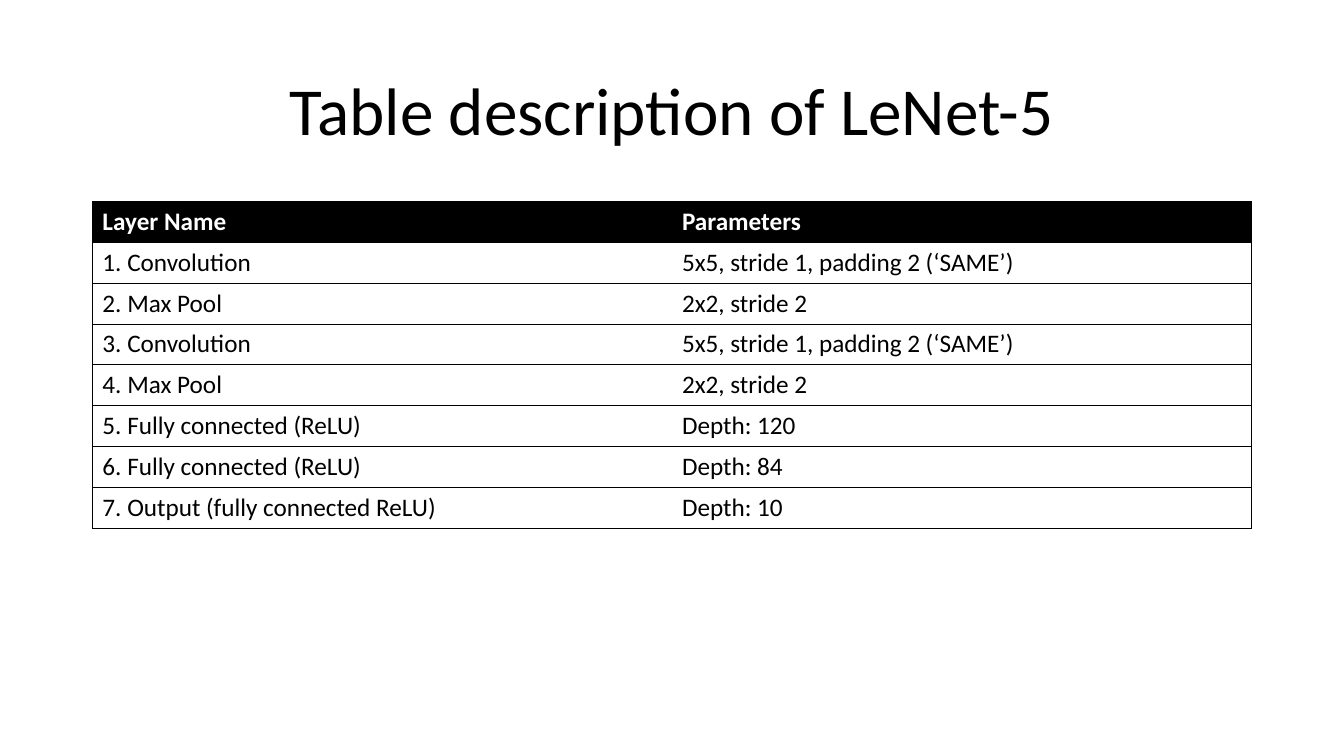
from dataclasses import dataclass
from lxml.etree import SubElement as Sub
from pptx import Presentation as Deck
from pptx.dml.color import RGBColor as Color
from pptx.enum.text import MSO_ANCHOR as Anchor, PP_ALIGN as Align
from pptx.oxml.ns import qn
from pptx.util import Pt


@dataclass(frozen=True)
class Theme:
    """Colours, font and sizes of the slide."""
    ink: str = "000000"
    page: str = "FFFFFF"
    font: str = "Calibri"
    head: int = 48
    body: int = 18
    rule: float = 0.5


class Page:
    """Draws elements on one slide in a given style."""

    def __init__(self, deck, theme):
        self.theme = theme
        self.slide = deck.slides.add_slide(deck.slide_layouts[5])

    def style(self, para, size, color, bold=False):
        """Format every run of a paragraph."""
        for run in para.runs:
            font = run.font
            font.name, font.size, font.bold = self.theme.font, Pt(size), bold
            font.color.rgb = Color.from_string(color)

    def title(self, text, left, top, width, height):
        """Place and fill the title."""
        shape = self.slide.shapes.title
        shape.left, shape.top = Pt(left), Pt(top)
        shape.width, shape.height = Pt(width), Pt(height)
        frame = shape.text_frame
        frame.text = text
        frame.word_wrap = True
        frame.vertical_anchor = Anchor.MIDDLE
        para = frame.paragraphs[0]
        para.alignment, para.line_spacing = Align.CENTER, 0.9
        self.style(para, self.theme.head, self.theme.ink)

    def border(self, cell, sides):
        """Rule the named sides of a cell and clear the others."""
        props = cell._tc.get_or_add_tcPr()
        for side in "LRTB":
            line = Sub(props, qn(f"a:ln{side}"), w=str(Pt(self.theme.rule)))
            if side in sides:
                fill = Sub(line, qn("a:solidFill"))
                Sub(fill, qn("a:srgbClr"), val=self.theme.ink)
            else:
                Sub(line, qn("a:noFill"))

    def table(self, rows, left, top, width, step):
        """Add a ruled table with a dark first row."""
        theme, count = self.theme, len(rows[0])
        table = self.slide.shapes.add_table(
            len(rows), count, Pt(left), Pt(top), Pt(width), Pt(step * len(rows))).table
        table.horz_banding = False
        for i, row in enumerate(rows):
            table.rows[i].height = Pt(step)
            for j, text in enumerate(row):
                cell = table.cell(i, j)
                cell.text = text
                outer = "L" * (j == 0) + "R" * (j == count - 1)
                self.border(cell, "TB" + outer)
                if i == 0:
                    cell.fill.solid()
                    cell.fill.fore_color.rgb = Color.from_string(theme.ink)
                else:
                    cell.fill.background()
                color = theme.ink if i else theme.page
                self.style(cell.text_frame.paragraphs[0], theme.body, color, i == 0)


def main():
    """Build and save the slide."""
    deck = Deck()
    deck.slide_width, deck.slide_height = Pt(960), Pt(540)
    page = Page(deck, Theme())
    page.title("Table description of LeNet-5", 66, 28.75, 828, 104.38)
    conv, pool = "5x5, stride 1, padding 2 (‘SAME’)", "2x2, stride 2"
    rows = [
        ("Layer Name", "Parameters"),
        ("1. Convolution", conv),
        ("2. Max Pool", pool),
        ("3. Convolution", conv),
        ("4. Max Pool", pool),
        ("5. Fully connected (ReLU)", "Depth: 120"),
        ("6. Fully connected (ReLU)", "Depth: 84"),
        ("7. Output (fully connected ReLU)", "Depth: 10"),
    ]
    page.table(rows, 66, 143.75, 828, 29.2)
    deck.save("out.pptx")


if __name__ == "__main__":
    main()
